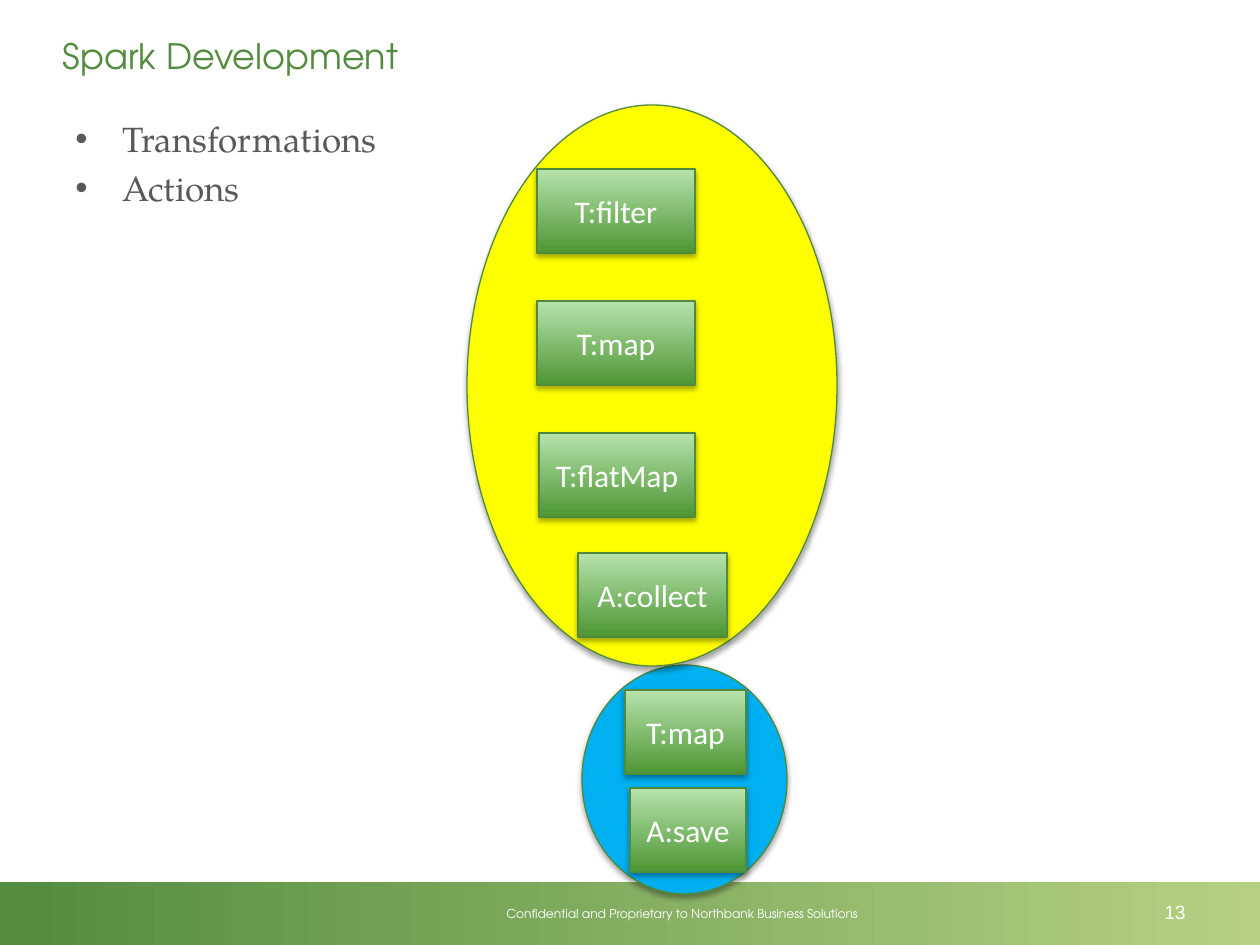
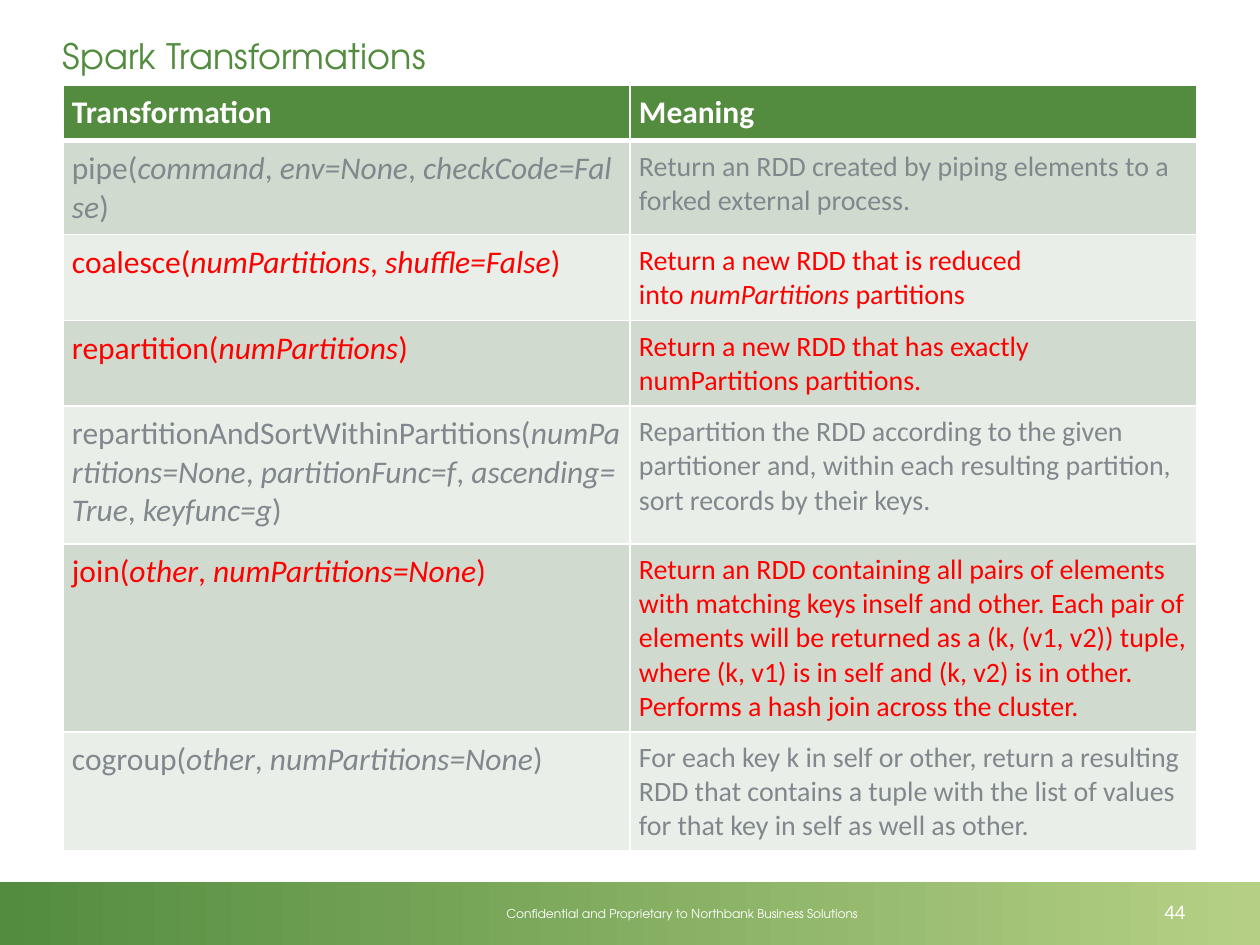
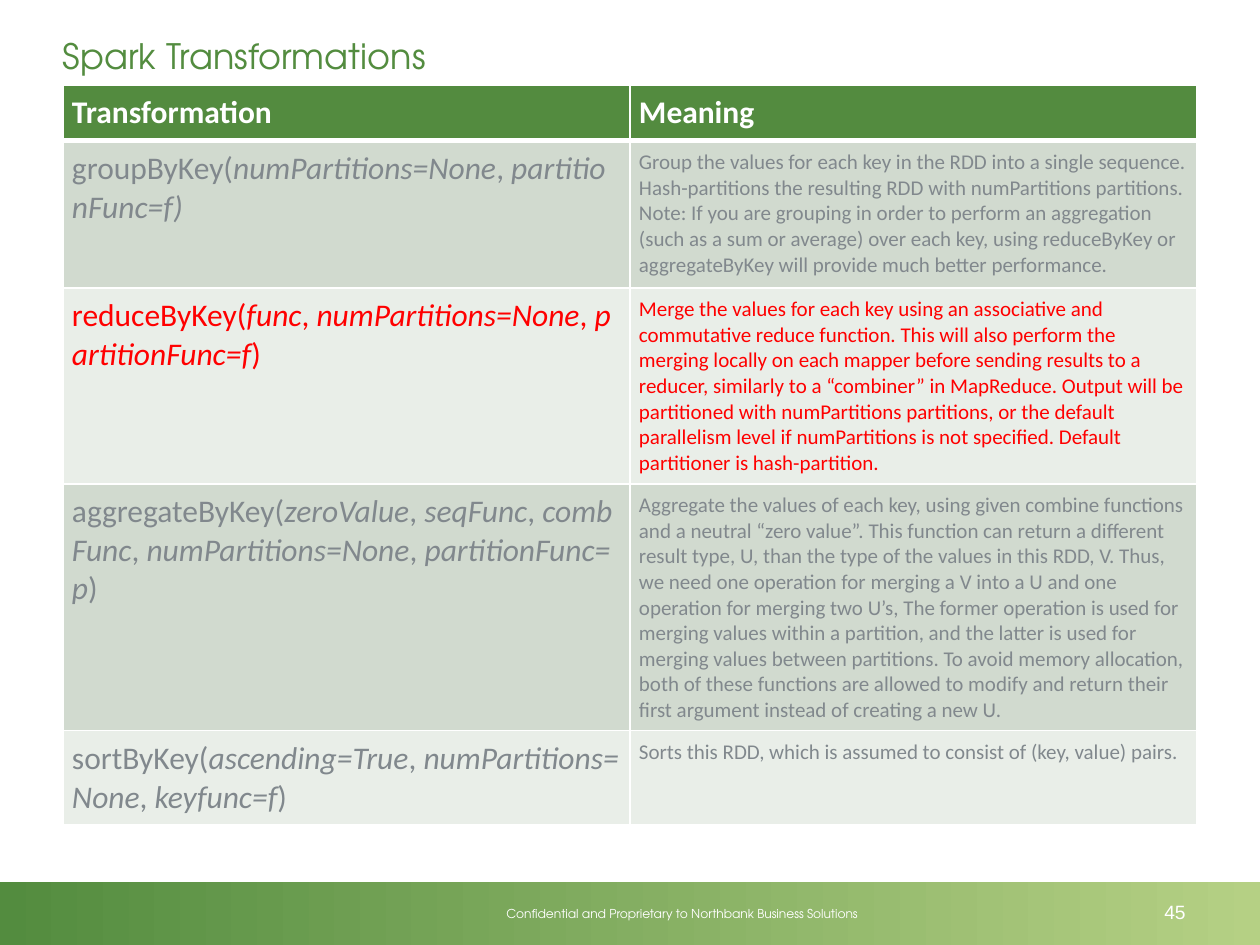
from dataclasses import dataclass
from typing import Any

from lxml import etree
from pptx import Presentation
from pptx import util as u
from pptx.dml.color import RGBColor
from pptx.enum import shapes, text
from pptx.oxml import ns

EMU_PER_PX = 914400 / 126
SLIDE_WIDTH, SLIDE_HEIGHT = 1260, 945
BLANK_LAYOUT = 6
NBSP = chr(160)

COLORS = {
    "white": "FFFFFF",
    "title": "538C3F",
    "band_end": "B5D084",
    "body": "595959",
    "outline": "508A3C",
    "step_dark": "4E9634",
    "step_light": "B6E3AC",
    "yellow": "FFFF00",
    "blue": "00B0F0",
    "shadow": "000000",
    "header": "538B3F",
    "odd_row": "D1DACF",
    "even_row": "E9EEE8",
    "muted": "81888D",
    "highlight": "FF0000",
}

HEADING_FONT = "TeX Gyre Adventor"
BODY_FONT = "TeX Gyre Pagella"
FOOTER = "Confidential and Proprietary to Northbank Business Solutions"

CENTERED = {"alignment": text.PP_ALIGN.CENTER}
MIDDLE = {"word_wrap": True, "vertical_anchor": text.MSO_ANCHOR.MIDDLE}


@dataclass(frozen=True)
class Box:
    left: int
    top: int
    width: int
    height: int

    def emu(self) -> tuple[u.Emu, ...]:
        return tuple(px(n) for n in (self.left, self.top, self.width, self.height))


@dataclass(frozen=True)
class Style:
    font: str
    size: int
    color: str
    bold: bool = False


@dataclass(frozen=True)
class Stage:
    box: Box
    color: str


@dataclass(frozen=True)
class Step:
    label: str
    box: Box


@dataclass(frozen=True)
class Operation:
    """A table row; * switches italics in its texts and ~ is a no-break space."""
    signature: str
    meaning: str
    height: int
    highlighted: bool = False


TITLE = Style(HEADING_FONT, 20, "title")
BODY = Style(BODY_FONT, 20, "body")
FOOTNOTE = Style(HEADING_FONT, 7, "white")
PAGE_NUMBER = Style("Arial", 11, "white")
STEP = Style("Calibri", 18, "white")
HEADER = Style("Calibri", 18, "white", bold=True)

BAND_BOX = Box(0, 882, SLIDE_WIDTH, 64)
FOOTER_BOX = Box(340, 900, 684, 28)
PAGE_BOX = Box(1139, 887, 72, 50)
TITLE_BOX = Box(0, 0, SLIDE_WIDTH, 110)
BULLET_BOX = Box(63, 111, 1135, 323)
TABLE_LEFT, TABLE_TOP, COLUMN_WIDTH = 63, 85, 567
CELL_MARGIN = 9
STEP_HEIGHT = 84

STAGES = [
    Stage(Box(582, 665, 205, 229), "blue"),
    Stage(Box(467, 105, 370, 561), "yellow"),
]
STEPS = [
    Step("T:filter", Box(537, 169, 158, STEP_HEIGHT)),
    Step("T:map", Box(537, 301, 158, STEP_HEIGHT)),
    Step("T:flatMap", Box(539, 433, 156, STEP_HEIGHT)),
    Step("A:collect", Box(578, 553, 149, STEP_HEIGHT)),
    Step("T:map", Box(625, 690, 121, STEP_HEIGHT)),
    Step("A:save", Box(630, 788, 116, STEP_HEIGHT)),
]

PARTITION_OPERATIONS = [
    Operation("pipe(*command*,~*env=None*,~*checkCode=False*)",
              "Return an RDD created by piping elements to a forked external process.", 94),
    Operation("coalesce(*numPartitions*,~*shuffle=False*)",
              "Return a new RDD that is reduced into~*numPartitions*~partitions", 86, True),
    Operation("repartition(*numPartitions*)",
              "Return a new RDD that has exactly numPartitions partitions.", 85, True),
    Operation("repartitionAndSortWithinPartitions(*numPartitions=None*,~*partitionFunc=f*,"
              "~*ascending=True*,~*keyfunc=g*)",
              "Repartition the RDD according to the given partitioner and, within each "
              "resulting partition, sort records by their keys.", 138),
    Operation("join(*other*,~*numPartitions=None*)",
              "Return an RDD containing all pairs of elements with matching keys "
              "inself~and~other. Each pair of elements will be returned as a (k, (v1, v2)) "
              "tuple, where (k, v1) is in~self~and (k, v2) is in~other. Performs a hash "
              "join across the cluster.", 188, True),
    Operation("cogroup(*other*,~*numPartitions=None*)",
              "For each key k in~self~or~other, return a resulting RDD that contains a "
              "tuple with the list of values for that key in~self~as well as~other.", 119),
]
KEY_OPERATIONS = [
    Operation("groupByKey(*numPartitions=None*,~*partitionFunc=f)*",
              "Group the values for each key in the RDD into a single sequence. "
              "Hash-partitions the resulting RDD with numPartitions partitions. Note: If "
              "you are grouping in order to perform an aggregation (such as a sum or "
              "average) over each key, using reduceByKey or aggregateByKey will provide "
              "much better performance.", 147),
    Operation("reduceByKey(*func*,~*numPartitions=None*,~*partitionFunc=f*)",
              "Merge the values for each key using an associative and commutative reduce "
              "function. This will also perform the merging locally on each mapper before "
              "sending results to a reducer, similarly to a “combiner” in MapReduce. "
              "Output will be partitioned with~numPartitions~partitions, or the default "
              "parallelism level if~numPartitions~is not specified. Default partitioner "
              "is hash-partition.", 196, True),
    Operation("aggregateByKey(*zeroValue*,~*seqFunc*,~*combFunc*,~*numPartitions=None*,"
              "~*partitionFunc=p*)",
              "Aggregate the values of each key, using given combine functions and a "
              "neutral “zero value”. This function can return a different result type, U, "
              "than the type of the values in this RDD, V. Thus, we need one operation for "
              "merging a V into a U and one operation for merging two U’s, The former "
              "operation is used for merging values within a partition, and the latter is "
              "used for merging values between partitions. To avoid memory allocation, both "
              "of these functions are allowed to modify and return their first argument "
              "instead of creating a new U.", 247),
    Operation("sortByKey(*ascending=True*,~*numPartitions=None*,~*keyfunc=f*)",
              "Sorts this RDD, which is assumed to consist of (key, value) pairs.", 94),
]


def px(length: int) -> u.Emu:
    return u.Emu(round(length * EMU_PER_PX))


def rgb(color: str) -> RGBColor:
    return RGBColor.from_string(COLORS[color])


def set_format(target: Any, values: dict[str, Any]) -> None:
    for attribute, value in values.items():
        setattr(target, attribute, value)


def add_xml(parent: Any, tag: str, **attributes: Any) -> Any:
    values = {name: str(value) for name, value in attributes.items()}
    return etree.SubElement(parent, ns.qn(tag), values)


def write(paragraph: Any, markup: str, style: Style) -> None:
    """Add runs to a paragraph, following the markup described in Operation."""
    for index, part in enumerate(markup.replace("~", NBSP).split("*")):
        if part:
            run = paragraph.add_run()
            run.text = part
            set_format(run.font, {"name": style.font, "size": u.Pt(style.size),
                                  "bold": style.bold, "italic": index % 2 == 1})
            run.font.color.rgb = rgb(style.color)


def add_label(slide: Any, box: Box, words: str, style: Style,
              frame_format: dict[str, Any], paragraph_format: dict[str, Any]) -> None:
    frame = slide.shapes.add_textbox(*box.emu()).text_frame
    set_format(frame, frame_format)
    set_format(frame.paragraphs[0], paragraph_format)
    write(frame.paragraphs[0], words, style)


def fill_gradient(shape: Any, start: str, end: str, angle: int) -> None:
    shape.fill.gradient()
    shape.fill.gradient_angle = angle
    for stop, color, position in zip(shape.fill.gradient_stops, (start, end), (0, 1)):
        stop.color.rgb = rgb(color)
        stop.position = position


def add_figure(slide: Any, kind: shapes.MSO_SHAPE, box: Box) -> Any:
    """Add a shape with the diagram's outline and soft shadow."""
    figure = slide.shapes.add_shape(kind, *box.emu())
    figure.line.color.rgb = rgb("outline")
    figure.line.width = u.Pt(0.75)
    figure.shadow.inherit = False
    effects = figure._element.spPr.find(ns.qn("a:effectLst"))
    shadow = add_xml(effects, "a:outerShdw", blurRad=40000, dist=23000,
                     dir=5400000, rotWithShape=0)
    shade = add_xml(shadow, "a:srgbClr", val=COLORS["shadow"])
    add_xml(shade, "a:alpha", val=35000)
    return figure


def add_stage(slide: Any, stage: Stage) -> None:
    oval = add_figure(slide, shapes.MSO_SHAPE.OVAL, stage.box)
    oval.fill.solid()
    oval.fill.fore_color.rgb = rgb(stage.color)


def add_step(slide: Any, step: Step) -> None:
    block = add_figure(slide, shapes.MSO_SHAPE.RECTANGLE, step.box)
    fill_gradient(block, "step_dark", "step_light", 90)
    set_format(block.text_frame, MIDDLE)
    paragraph = block.text_frame.paragraphs[0]
    set_format(paragraph, CENTERED)
    write(paragraph, step.label, STEP)


def add_bullets(slide: Any, box: Box, items: list[str]) -> None:
    frame = slide.shapes.add_textbox(*box.emu()).text_frame
    frame.word_wrap = True
    for index, item in enumerate(items):
        paragraph = frame.add_paragraph() if index else frame.paragraphs[0]
        paragraph.space_before = u.Pt(4)
        properties = paragraph._p.get_or_add_pPr()
        properties.set("marL", str(px(47)))
        properties.set("indent", str(-px(47)))
        add_xml(properties, "a:buFont", typeface="Arial")
        add_xml(properties, "a:buChar", char="•")
        write(paragraph, item, BODY)


def add_band(slide: Any) -> None:
    band = slide.shapes.add_shape(shapes.MSO_SHAPE.RECTANGLE, *BAND_BOX.emu())
    band.shadow.inherit = False
    band.line.fill.background()
    fill_gradient(band, "title", "band_end", 0)
    add_label(slide, FOOTER_BOX, FOOTER, FOOTNOTE, {"word_wrap": True}, CENTERED)


def add_headings(slide: Any, title: str, page: int) -> None:
    add_label(slide, PAGE_BOX, str(page), PAGE_NUMBER, MIDDLE, CENTERED)
    margins = {"margin_left": px(63), "margin_top": px(63),
               "margin_right": px(38), "margin_bottom": px(63)}
    add_label(slide, TITLE_BOX, title, TITLE, MIDDLE | margins, {"space_before": u.Pt(4)})


def add_borders(cell: Any, top: int, bottom: int) -> None:
    properties = cell._tc.get_or_add_tcPr()
    for side, width in {"L": 1, "R": 1, "T": top, "B": bottom}.items():
        line = add_xml(properties, f"a:ln{side}", w=u.Pt(width))
        add_xml(add_xml(line, "a:solidFill"), "a:srgbClr", val=COLORS["white"])


def fill_cell(cell: Any, markup: str, style: Style, color: str,
              top: int = 1, bottom: int = 1) -> None:
    sides = ("left", "top", "right", "bottom")
    set_format(cell, {f"margin_{side}": px(CELL_MARGIN) for side in sides})
    add_borders(cell, top, bottom)
    cell.fill.solid()
    cell.fill.fore_color.rgb = rgb(color)
    write(cell.text_frame.paragraphs[0], markup, style)


def add_operations(slide: Any, operations: list[Operation], header_height: int,
                   meaning_size: int) -> None:
    heights = [header_height] + [operation.height for operation in operations]
    box = Box(TABLE_LEFT, TABLE_TOP, 2 * COLUMN_WIDTH, sum(heights))
    table = slide.shapes.add_table(len(heights), 2, *box.emu()).table
    set_format(table, {"first_row": False, "horz_banding": False})
    for column in table.columns:
        column.width = px(COLUMN_WIDTH)
    for row, height in zip(table.rows, heights):
        row.height = px(height)
    for column, heading in enumerate(("Transformation", "Meaning")):
        fill_cell(table.cell(0, column), heading, HEADER, "header", bottom=3)
    for row, operation in enumerate(operations, start=1):
        color = "highlight" if operation.highlighted else "muted"
        shade = "odd_row" if row % 2 else "even_row"
        entries = ((operation.signature, 18), (operation.meaning, meaning_size))
        for column, (markup, size) in enumerate(entries):
            fill_cell(table.cell(row, column), markup, Style("Calibri", size, color),
                      shade, top=3 if row == 1 else 1)


def add_slide(deck: Any) -> Any:
    slide = deck.slides.add_slide(deck.slide_layouts[BLANK_LAYOUT])
    add_band(slide)
    return slide


def add_development_slide(deck: Any) -> None:
    slide = add_slide(deck)
    for stage in STAGES:
        add_stage(slide, stage)
    add_bullets(slide, BULLET_BOX, ["Transformations", "Actions"])
    add_headings(slide, "Spark Development", 13)
    for step in STEPS:
        add_step(slide, step)


def add_transformations_slide(deck: Any, page: int, operations: list[Operation],
                              header_height: int, meaning_size: int) -> None:
    slide = add_slide(deck)
    add_headings(slide, "Spark Transformations", page)
    add_operations(slide, operations, header_height, meaning_size)


def main() -> None:
    deck = Presentation()
    set_format(deck, {"slide_width": px(SLIDE_WIDTH), "slide_height": px(SLIDE_HEIGHT)})
    add_development_slide(deck)
    add_transformations_slide(deck, 44, PARTITION_OPERATIONS, 54, 16)
    add_transformations_slide(deck, 45, KEY_OPERATIONS, 52, 12)
    deck.save("out.pptx")


if __name__ == "__main__":
    main()
